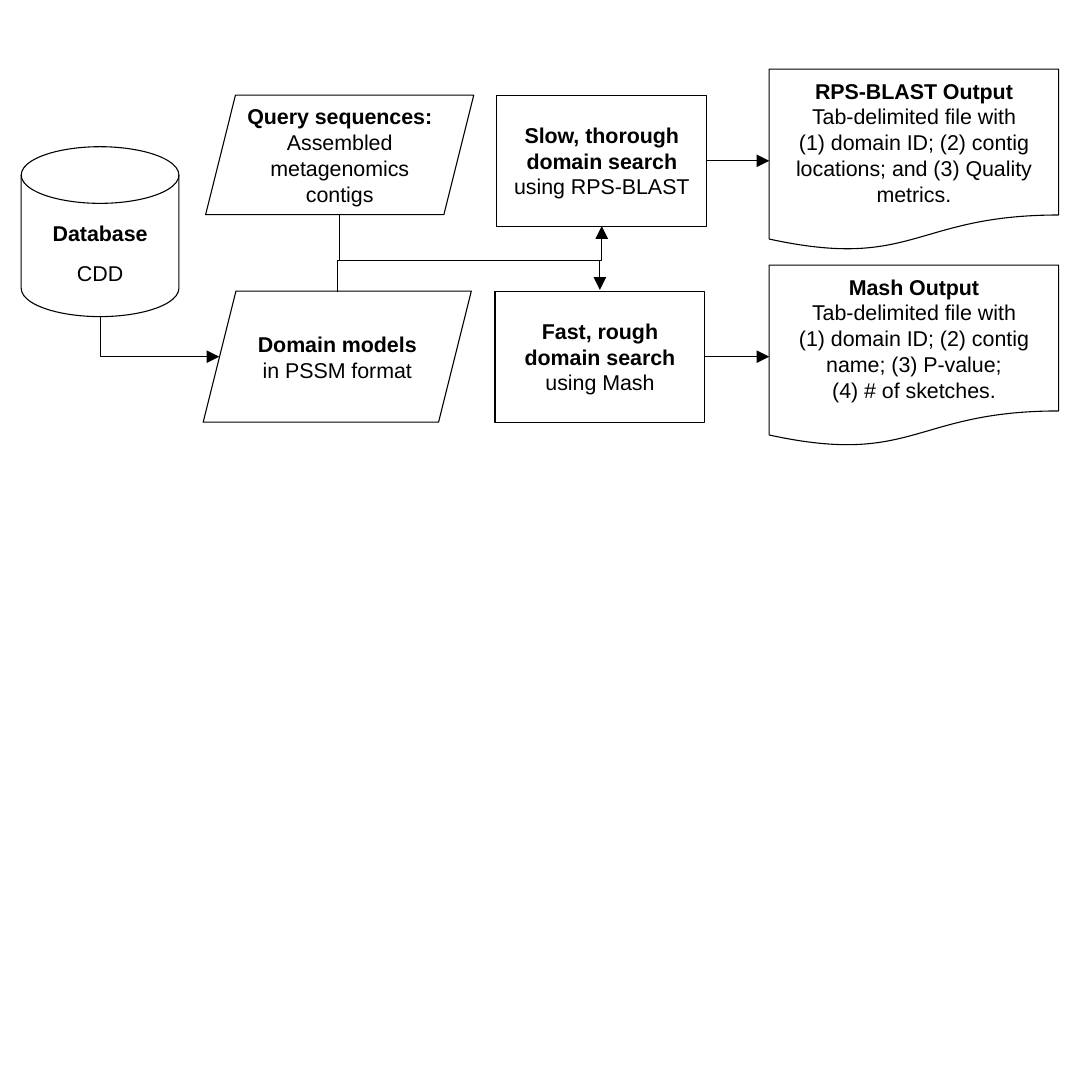
"""Build a flowchart of two domain search routes as a one-slide deck."""
from lxml.etree import SubElement
from pptx import Presentation
from pptx.dml.color import RGBColor
from pptx.enum.shapes import MSO_CONNECTOR as Link, MSO_SHAPE as Kind
from pptx.enum.text import MSO_ANCHOR as Anchor, PP_ALIGN as Align
from pptx.oxml.ns import qn
from pptx.util import Cm, Pt

INK, PAPER = "000000", "FFFFFF"
TOP, ROW_STEP, BEND = 1.57, 3.23, 4.29
INSET, LINE = 0.1, 0.5
SEARCH_SIZE, OUTPUT_SIZE = (3.46, 2.16), (4.77, 3.0)

STEPS = {
    "query": (Kind.PARALLELOGRAM, 3.39, TOP, 4.42, 1.97,
              ["Query sequences:"], ["Assembled metagenomics contigs"]),
    "models": (Kind.PARALLELOGRAM, 3.35, TOP + ROW_STEP, 4.42, 2.16,
               ["Domain models"], ["in PSSM format"]),
    "slow": (Kind.RECTANGLE, 8.19, TOP, *SEARCH_SIZE,
             ["Slow, thorough", "domain search"], ["using RPS-BLAST"]),
    "fast": (Kind.RECTANGLE, 8.16, TOP + ROW_STEP, *SEARCH_SIZE,
             ["Fast, rough", "domain search"], ["using Mash"]),
    "thorough output": (Kind.FLOWCHART_DOCUMENT, 12.68, 1.14, *OUTPUT_SIZE,
                        ["RPS-BLAST Output"],
                        ["Tab-delimited file with",
                         "(1) domain ID; (2) contig locations; and (3) Quality metrics."]),
    "rough output": (Kind.FLOWCHART_DOCUMENT, 12.68, 1.14 + ROW_STEP, *OUTPUT_SIZE,
                     ["Mash Output"],
                     ["Tab-delimited file with",
                      "(1) domain ID; (2) contig name; (3) P-value;",
                      "(4) # of sketches."]),
}
DATABASE = (Kind.FLOWCHART_MAGNETIC_DISK, 0.35, 2.42, 2.6, 2.8, ["Database"], ["CDD"])
DATABASE_TEXT = {"spacing": 0.8, "gap": 9.2, "inset_top": 0.42}


def color(value):
    return RGBColor.from_string(value)


def write(shape, titles, details, spacing=1.0, gap=0, inset_top=INSET):
    frame = shape.text_frame
    frame.word_wrap = True
    frame.vertical_anchor = Anchor.MIDDLE
    frame.margin_left = frame.margin_right = frame.margin_bottom = Cm(INSET)
    frame.margin_top = Cm(inset_top)
    for index, text in enumerate(titles + details):
        para = frame.add_paragraph() if index else frame.paragraphs[0]
        para.alignment = Align.CENTER
        para.line_spacing = spacing
        para.space_before = Pt(gap if index else 0)
        span = para.add_run()
        span.text = text
        span.font.name, span.font.size = "Arial", Pt(10)
        span.font.bold = index < len(titles)
        span.font.color.rgb = color(INK)


def add_step(page, kind, left, top, width, height, titles, details, **layout):
    box = page.shapes.add_shape(kind, Cm(left), Cm(top), Cm(width), Cm(height))
    box.shadow.inherit = False
    box.fill.solid()
    box.fill.fore_color.rgb = color(PAPER)
    box.line.color.rgb = color(INK)
    box.line.width = Pt(LINE)
    write(box, titles, details, **layout)


def add_arrow(page, start, end, kind=Link.STRAIGHT):
    arrow = page.shapes.add_connector(kind, *map(Cm, start + end))
    arrow.line.color.rgb = color(INK)
    arrow.line.width = Pt(LINE)
    properties = arrow._element.spPr
    SubElement(properties.find(qn("a:ln")), qn("a:tailEnd"), type="triangle")
    SubElement(properties, qn("a:effectLst"))
    return arrow


def add_elbow(page, start, end, bend=None):
    """Draw an arrow that leaves vertically and turns at the height bend."""
    arrow = add_arrow(page, start, end, Link.ELBOW)
    (x1, y1), (x2, y2) = start, end
    width, height = abs(y2 - y1), abs(x2 - x1)
    arrow.left, arrow.top = Cm((x1 + x2 - width) / 2), Cm((y1 + y2 - height) / 2)
    arrow.width, arrow.height = Cm(width), Cm(height)
    properties = arrow._element.spPr
    frame = properties.find(qn("a:xfrm"))
    for name in ("flipH", "flipV"):
        frame.attrib.pop(name, None)
    frame.set("rot", str((270 if y2 > y1 else 90) * 60000))
    frame.set("flipH", "1")
    if y2 < y1:
        frame.set("flipV", "1")
    shape = properties.find(qn("a:prstGeom"))
    if bend is None:
        shape.set("prst", "bentConnector2")
    else:
        share = round((bend - y1) / (y2 - y1) * 100000)
        SubElement(shape.find(qn("a:avLst")), qn("a:gd"), name="adj1", fmla=f"val {share}")


def anchor(step, across, down):
    left, top, width, height = step[1:5]
    return left + across * width, top + down * height


deck = Presentation()
deck.slide_width = deck.slide_height = Cm(18)
page = deck.slides.add_slide(deck.slide_layouts[6])

add_step(page, *DATABASE, **DATABASE_TEXT)
for step in STEPS.values():
    add_step(page, *step)

models_x, models_y = anchor(STEPS["models"], 0.5, 0)
fast_x, fast_y = anchor(STEPS["fast"], 0.5, 0)
add_elbow(page, anchor(DATABASE, 0.5, 1), anchor(STEPS["models"], 0.06, 0.5))
add_elbow(page, (models_x, models_y + 0.02), (fast_x, fast_y - 0.02), BEND)
add_elbow(page, anchor(STEPS["query"], 0.5, 1), anchor(STEPS["slow"], 0.5, 1), BEND)
for search, output in (("slow", "thorough output"), ("fast", "rough output")):
    x, y = anchor(STEPS[search], 1, 0.5)
    add_arrow(page, (x, y), (STEPS[output][1], y))

deck.save("out.pptx")
